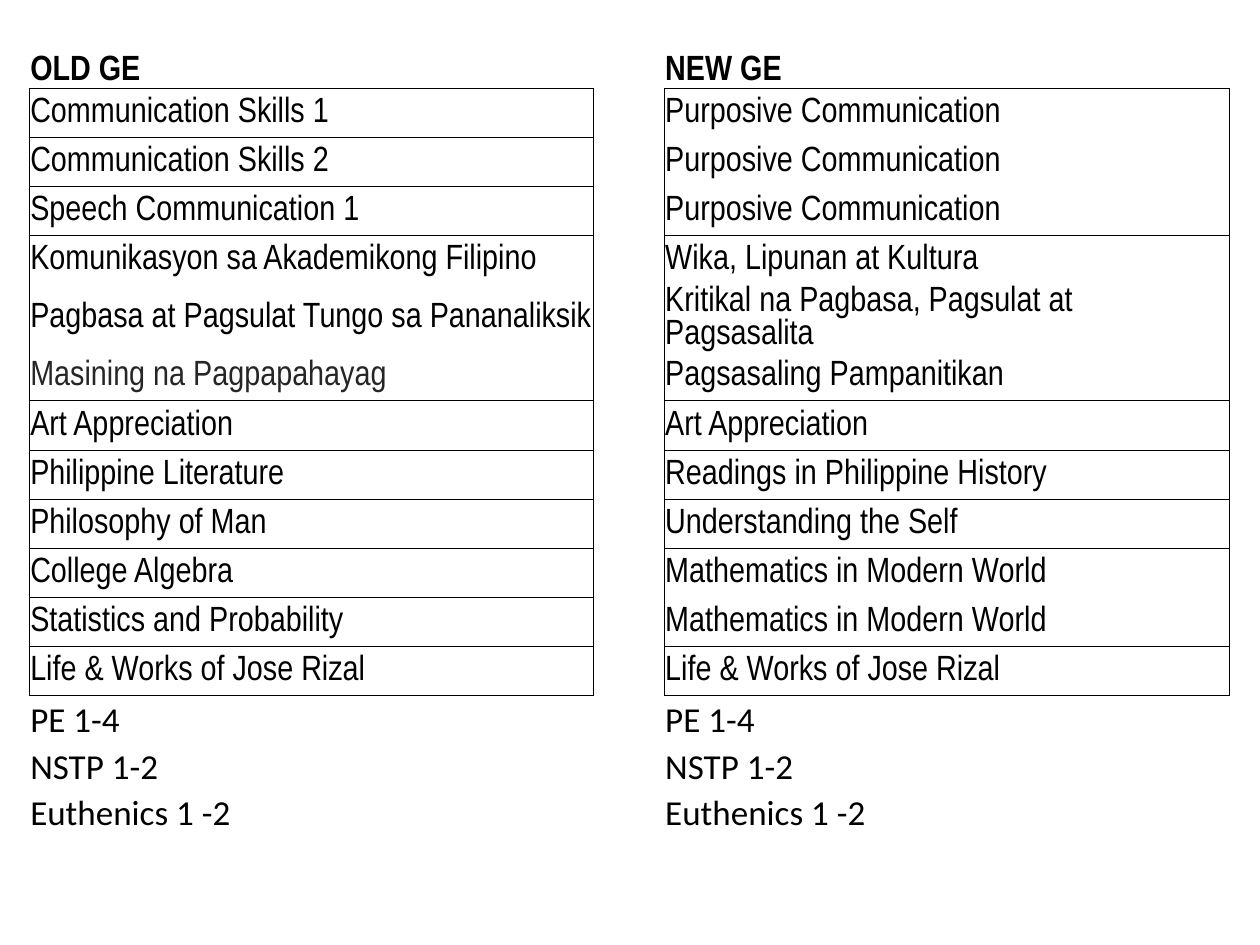
from dataclasses import dataclass

import pptx
import pptx.dml.color
import pptx.enum.text
import pptx.oxml
import pptx.oxml.ns
import pptx.util
from pptx.util import Cm, Pt


@dataclass(frozen=True)
class Theme:
    ink: str = "000000"
    soft_ink: str = "262626"
    course_font: str = "Arial Narrow"
    extra_font: str = "Calibri"
    text_size: int = 20
    rule_width: float = 0.5


theme = Theme()

# Each inner list is a boxed group of courses with no rule between its rows.
old_groups = [
    ["Communication Skills 1"],
    ["Communication Skills 2"],
    ["Speech Communication 1"],
    ["Komunikasyon sa Akademikong Filipino",
     "Pagbasa at Pagsulat Tungo sa Pananaliksik",
     "Masining na Pagpapahayag"],
    ["Art Appreciation"],
    ["Philippine Literature"],
    ["Philosophy of Man"],
    ["College Algebra"],
    ["Statistics and Probability"],
    ["Life & Works of Jose Rizal"],
]
new_groups = [
    ["Purposive Communication"] * 3,
    ["Wika, Lipunan at Kultura",
     "Kritikal na Pagbasa, Pagsulat at Pagsasalita",
     "Pagsasaling Pampanitikan"],
    ["Art Appreciation"],
    ["Readings in Philippine History"],
    ["Understanding the Self"],
    ["Mathematics in Modern World"] * 2,
    ["Life & Works of Jose Rizal"],
]
extras = ["PE 1-4", "NSTP 1-2", "Euthenics 1 -2"]
soft_course = "Masining na Pagpapahayag"
course_count = sum(len(group) for group in old_groups)
row_count = 1 + course_count + len(extras)


def set_borders(cell, drawn_sides):
    """Rule the sides named among L, R, T and B, and clear the others."""
    properties = cell._tc.get_or_add_tcPr()
    for side in "LRTB":
        fill = "<a:noFill/>"
        if side in drawn_sides:
            fill = f'<a:solidFill><a:srgbClr val="{theme.ink}"/></a:solidFill>'
        properties.append(pptx.oxml.parse_xml(
            f'<a:ln{side} {pptx.oxml.ns.nsdecls("a")} '
            f'w="{int(Pt(theme.rule_width))}">{fill}</a:ln{side}>'))


def write_cell(cell, text, is_heading, is_extra):
    para = cell.text_frame.paragraphs[0]
    span = para.add_run()
    span.text = text
    span.font.name = theme.extra_font if is_extra else theme.course_font
    span.font.size = Pt(theme.text_size)
    span.font.bold = is_heading
    color = theme.soft_ink if text == soft_course else theme.ink
    span.font.color.rgb = pptx.dml.color.RGBColor.from_string(color)


deck = pptx.Presentation()
deck.slide_width, deck.slide_height = Cm(25.4), Cm(19.05)
page = deck.slides.add_slide(deck.slide_layouts[6])

frame = page.shapes.add_table(
    row_count, 3, Cm(0.59), Cm(0.79), Cm(24.2), Cm(15.67))
table = frame.table
table.first_row = False
table.horz_banding = False
for column, width in zip(table.columns, (11.38, 1.42, 11.4)):
    column.width = Cm(width)
for index, row in enumerate(table.rows):
    row.height = Cm(0.99 if index <= course_count else 0.94)

columns = [("OLD GE", old_groups), ("", []), ("NEW GE", new_groups)]
for column_index, (heading, groups) in enumerate(columns):
    texts = [heading]
    ruled_below = {0} if groups else set()
    for group in groups:
        texts += group
        ruled_below.add(len(texts) - 1)
    texts += extras

    for row_index in range(row_count):
        cell = table.cell(row_index, column_index)
        is_course = 1 <= row_index <= course_count
        sides = "LR" if is_course else ""
        sides += "T" if row_index - 1 in ruled_below else ""
        sides += "B" if row_index in ruled_below else ""
        set_borders(cell, sides)
        cell.fill.background()
        cell.margin_left = cell.margin_right = cell.margin_top = Cm(0.02)
        cell.margin_bottom = 0
        anchors = pptx.enum.text.MSO_ANCHOR
        cell.vertical_anchor = anchors.MIDDLE if is_course else anchors.BOTTOM
        if groups:
            write_cell(cell, texts[row_index], row_index == 0,
                       row_index > course_count)

deck.save("out.pptx")
